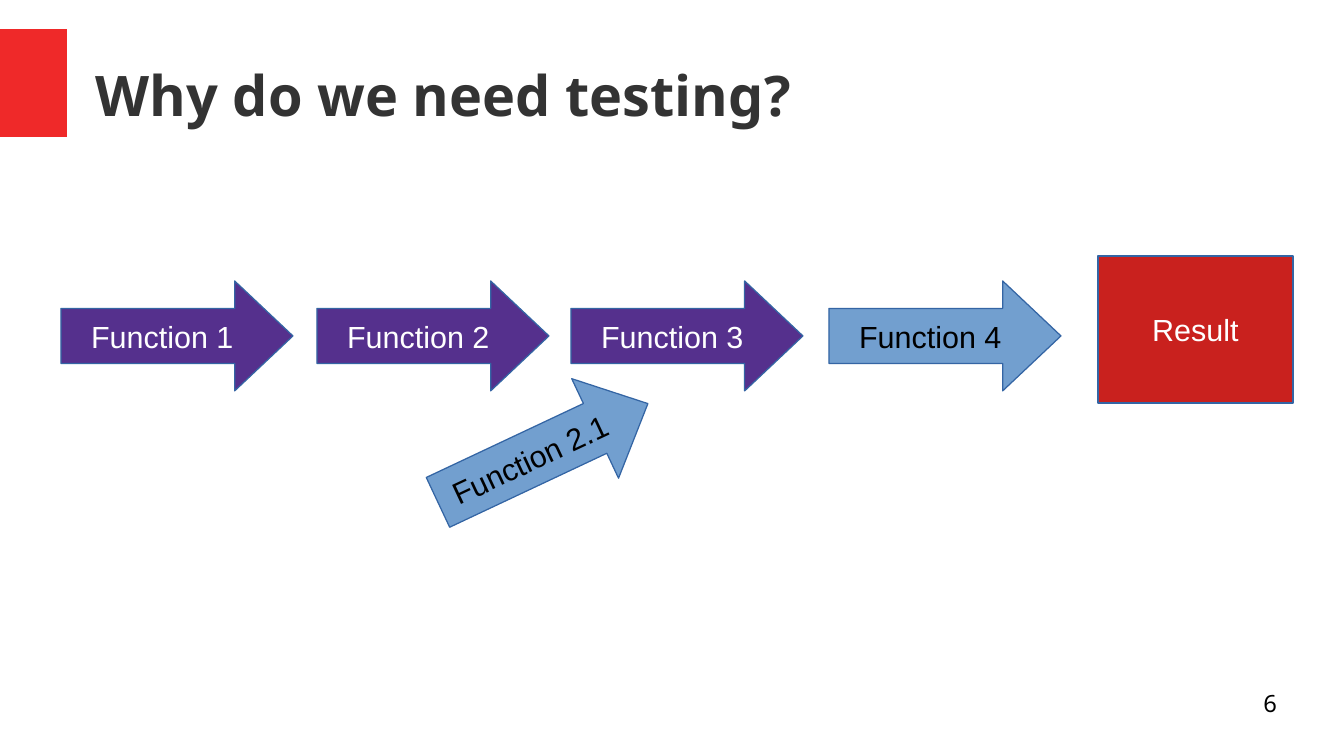
import pptx
import pptx.util
import pptx.dml.color
import pptx.enum.shapes
import pptx.enum.text

EMU_PER_PX = 914400 / 122
SHAPES = pptx.enum.shapes.MSO_SHAPE
ALIGN = pptx.enum.text.PP_ALIGN
ANCHOR = pptx.enum.text.MSO_ANCHOR
COLORS = {
    "accent": "EF2929",
    "title": "333333",
    "purple": "55308D",
    "blue": "729FCF",
    "red": "C9211E",
    "outline": "3465A4",
    "white": "FFFFFF",
    "black": "000000",
}


def px(length):
    return round(length * EMU_PER_PX)


def rgb(name):
    return pptx.dml.color.RGBColor.from_string(COLORS[name])


def write(frame, text, font_name, size, color, align, bold=False):
    paragraph = frame.paragraphs[0]
    paragraph.text = text
    paragraph.alignment = align
    paragraph.font.name = font_name
    paragraph.font.size = pptx.util.Pt(size)
    paragraph.font.bold = bold
    paragraph.font.color.rgb = rgb(color)


def add_label(slide, box, text, size, color, align, anchor, bold=False):
    label = slide.shapes.add_textbox(*map(px, box))
    frame = label.text_frame
    frame.word_wrap = True
    frame.vertical_anchor = anchor
    frame.margin_left = frame.margin_right = 0
    frame.margin_top = frame.margin_bottom = 0
    write(frame, text, "Noto Sans", size, color, align, bold)


def add_block(slide, kind, box, fill):
    block = slide.shapes.add_shape(kind, *map(px, box))
    block.shadow.inherit = False
    block.fill.solid()
    block.fill.fore_color.rgb = rgb(fill)
    block.line.fill.background()
    return block


def add_step(slide, kind, box, text, fill, color):
    step = add_block(slide, kind, box, fill)
    step.line.color.rgb = rgb("outline")
    step.line.width = pptx.util.Pt(0)
    frame = step.text_frame
    frame.word_wrap = False
    frame.vertical_anchor = ANCHOR.MIDDLE
    write(frame, text, "Arial", 18, color, ALIGN.CENTER)
    return step


def add_function(slide, left, top, text, fill, color, rotation=0):
    arrow = add_step(slide, SHAPES.RIGHT_ARROW, (left, top, 232, 110), text, fill, color)
    arrow.adjustments[0] = 0.5
    arrow.adjustments[1] = 0.53
    arrow.rotation = rotation


def main():
    deck = pptx.Presentation()
    deck.slide_width = px(1344)
    deck.slide_height = px(756)
    slide = deck.slides.add_slide(deck.slide_layouts[6])

    add_block(slide, SHAPES.RECTANGLE, (0, 29, 67, 108), "accent")
    add_label(slide, (96, 31, 1181, 127), "Why do we need testing?", 33, "title",
              ALIGN.LEFT, ANCHOR.MIDDLE, bold=True)

    add_function(slide, 427, 398, "Function 2.1", "blue", "black", rotation=334.8)
    for number, left in enumerate((61, 317, 571, 829), start=1):
        fill, color = ("blue", "black") if number == 4 else ("purple", "white")
        add_function(slide, left, 281, f"Function {number}", fill, color)
    add_step(slide, SHAPES.RECTANGLE, (1098, 256, 195, 147), "Result", "red", "white")

    add_label(slide, (964, 689, 313, 52), "6", 14, "black", ALIGN.RIGHT, ANCHOR.TOP)
    deck.save("out.pptx")


if __name__ == "__main__":
    main()
